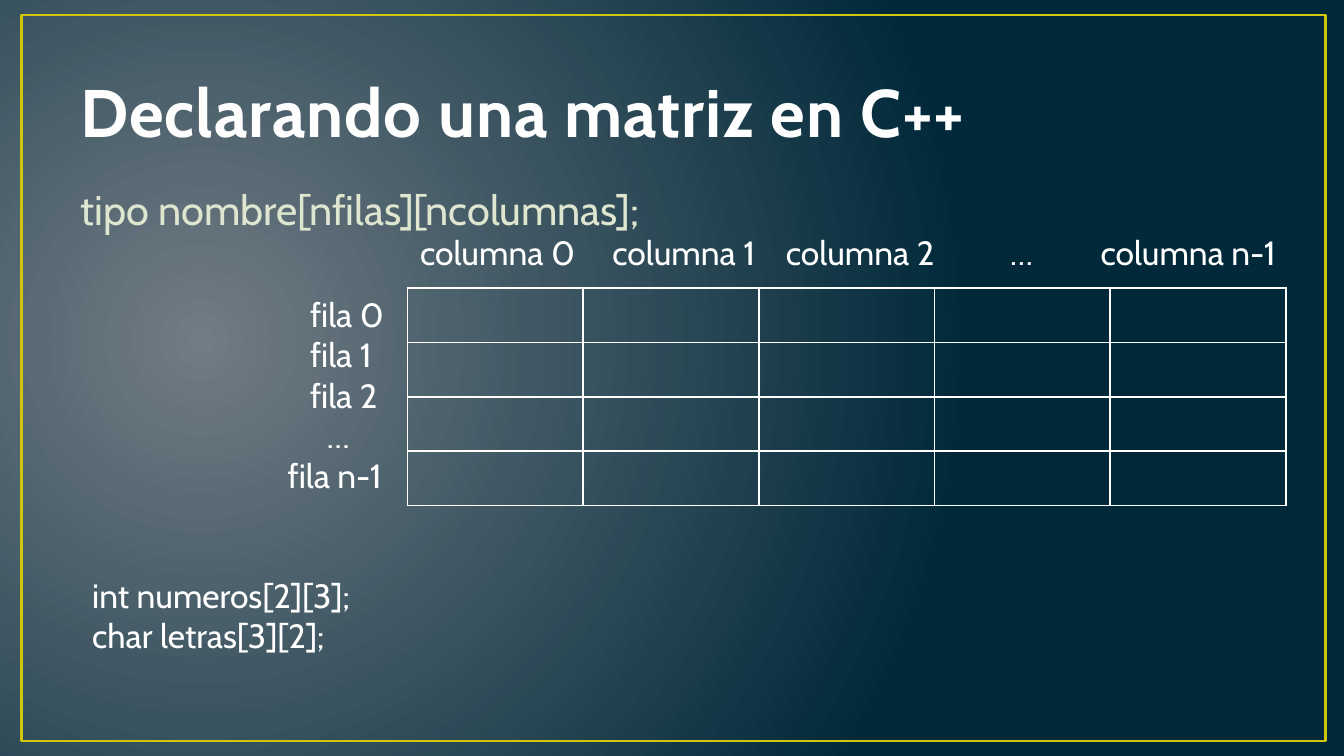
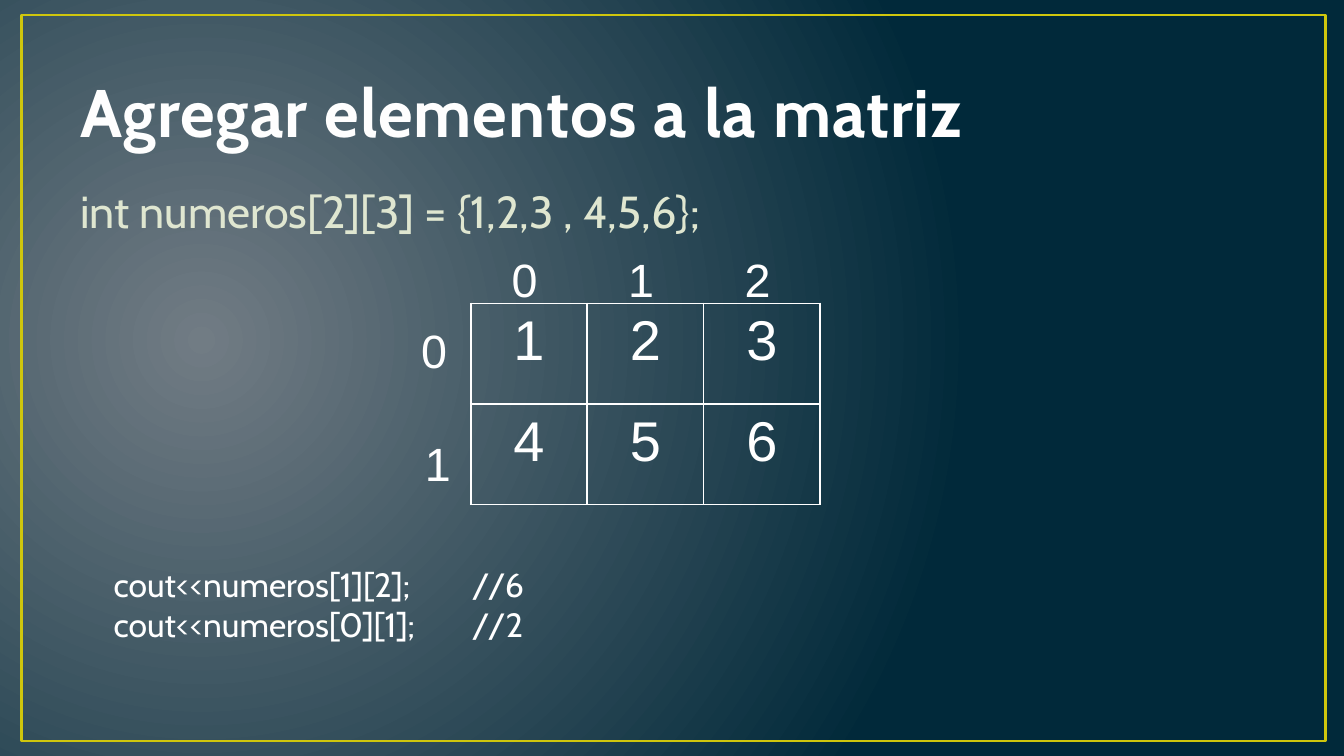
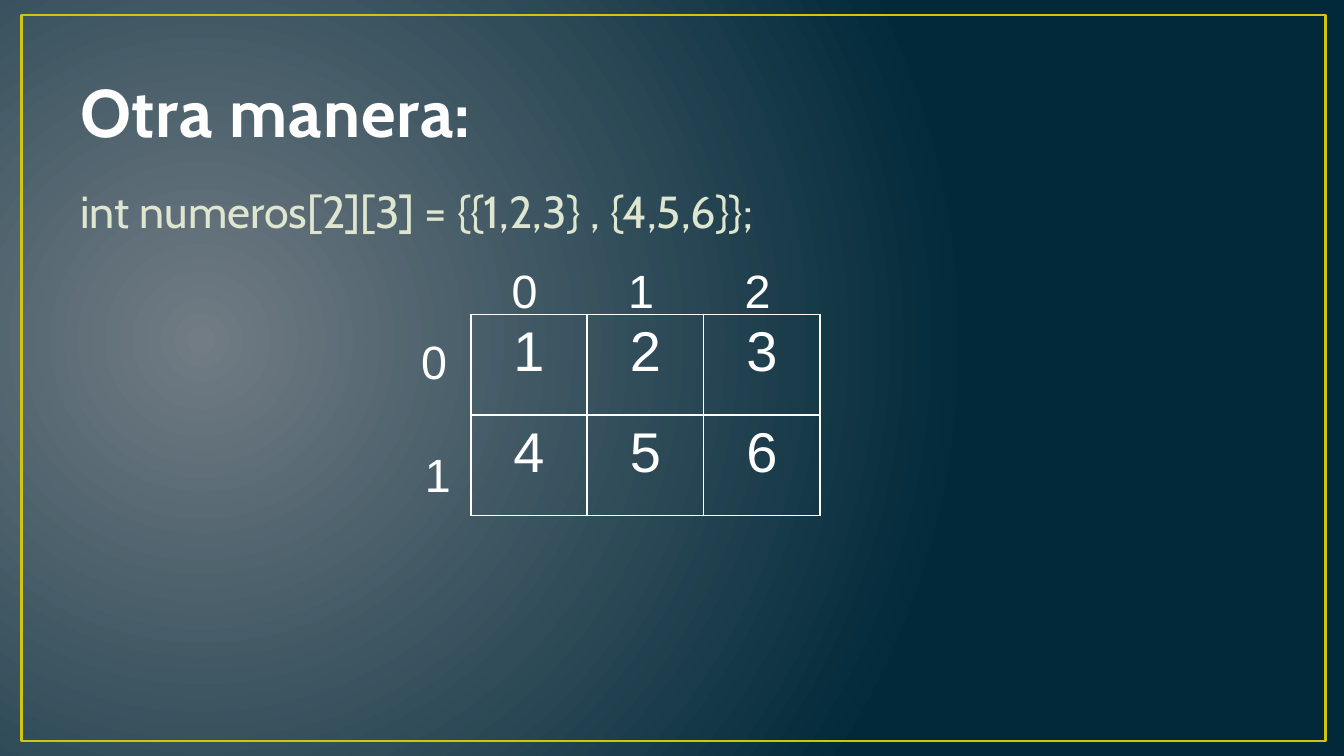
from lxml.etree import SubElement
from pptx import Presentation
from pptx.dml.color import RGBColor
from pptx.enum.shapes import MSO_SHAPE
from pptx.enum.text import MSO_ANCHOR, PP_ALIGN
from pptx.oxml.ns import qn
from pptx.util import Pt

WHITE, PALE, GOLD = "FFFFFF", "DFE6D0", "CFC60D"
GLOW, NIGHT, EDGE = "717C84", "01293A", "384F55"

COLS = ["columna 0", "columna 1", "columna 2", "…", "columna n-1"]
COL_TABS = [(103, "l"), (196, "l"), (316, "l"), (364.5, "l")]
ROWS = [("fila 0", 20), ("fila 1", 20), ("fila 2", 20), ("…", 29), ("fila n-1", 8)]
DECLS = ["int numeros[2][3];", "char letras[3][2];"]
PRINTS = ["cout<<numeros[1][2];\t//6", "cout<<numeros[0][1];\t//2"]
VALUES = [["1", "2", "3"], ["4", "5", "6"]]
EMPTY = [[""] * len(COLS) for _ in range(4)]

FORMS = [
    ("Agregar elementos a la matriz", "int numeros[2][3] = {1,2,3 , 4,5,6};", 162.6, PRINTS),
    ("Otra manera:", "int numeros[2][3] = {{1,2,3} , {4,5,6}};", 168.5, []),
]


def tint(code):
    return RGBColor.from_string(code)


def style(para, size, color=WHITE, face="Cabin", bold=False):
    font = para.font
    font.size, font.name, font.bold = Pt(size), face, bold
    font.color.rgb = tint(color)


def write(slide, box, lines, size=18, color=WHITE, face="Cabin", tabs=(), gap=0):
    frame = slide.shapes.add_textbox(*map(Pt, box)).text_frame
    frame.word_wrap = True
    for i, line in enumerate(lines):
        text, indent = line if isinstance(line, tuple) else (line, 0)
        para = frame.paragraphs[0] if i == 0 else frame.add_paragraph()
        para.text = text
        props = para._p.get_or_add_pPr()
        if indent:
            props.set("marL", str(Pt(indent)))
        if i and gap:
            para.space_before = Pt(gap)
        if tabs:
            stops = SubElement(props, qn("a:tabLst"))
            for pos, align in tabs:
                SubElement(stops, qn("a:tab"), pos=str(Pt(pos)), algn=align)
        style(para, size, color, face)
    return frame


def paint(slide):
    fill = slide.background.fill
    fill.gradient()
    for stop, code in zip(fill.gradient_stops, (GLOW, NIGHT)):
        stop.color.rgb = tint(code)
    grad = slide._element.find(".//" + qn("a:gradFill"))
    grad.remove(grad.find(qn("a:lin")))
    path = SubElement(grad, qn("a:path"), path="circle")
    SubElement(path, qn("a:fillToRect"), l="15000", t="50000", r="85000", b="60000")


def start(deck, title, code, size):
    slide = deck.slides.add_slide(deck.slide_layouts[6])
    paint(slide)
    frame = slide.shapes.add_shape(MSO_SHAPE.RECTANGLE, Pt(11.7), Pt(8), Pt(698.5), Pt(389))
    frame.shadow.inherit = False
    frame.fill.background()
    frame.line.color.rgb = tint(GOLD)
    frame.line.width = Pt(1.5)
    head = write(slide, (36, 16.6, 648, 68), [title], 36, "FEFEFE")
    head.vertical_anchor = MSO_ANCHOR.BOTTOM
    para = head.paragraphs[0]
    para.font.bold = True
    props = para.runs[0]._r.get_or_add_rPr()
    props.set("spc", "50")
    line = SubElement(props, qn("a:ln"), w=str(Pt(1.05)))
    solid = SubElement(line, qn("a:solidFill"))
    SubElement(solid, qn("a:srgbClr"), val=EDGE)
    write(slide, (36, 95, 648, 40), [code], size, PALE)
    return slide


def grid(slide, left, top, wide, high, cells, size):
    rows, cols = len(cells), len(cells[0])
    table = slide.shapes.add_table(
        rows, cols, Pt(left), Pt(top), Pt(wide * cols), Pt(high * rows)).table
    table.first_row = table.horz_banding = False
    for col in table.columns:
        col.width = Pt(wide)
    for r, row in enumerate(cells):
        table.rows[r].height = Pt(high)
        for c, text in enumerate(row):
            cell = table.cell(r, c)
            cell.text = text
            props = cell._tc.get_or_add_tcPr()
            for side in ("lnL", "lnR", "lnT", "lnB"):
                line = SubElement(props, qn("a:" + side), w=str(Pt(1)))
                solid = SubElement(line, qn("a:solidFill"))
                SubElement(solid, qn("a:srgbClr"), val=WHITE)
            cell.fill.background()
            para = cell.text_frame.paragraphs[0]
            para.alignment = PP_ALIGN.CENTER
            style(para, size, face="Arial")


def declare(deck):
    slide = start(deck, "Declarando una matriz en C++", "tipo nombre[nfilas][ncolumnas];", 22.2)
    grid(slide, 218.2, 154.3, 94.15, 29.16, EMPTY, 18)
    write(slide, (139, 154, 79, 117), ROWS)
    write(slide, (218, 120.5, 476, 29), ["\t".join(COLS)], tabs=COL_TABS)
    write(slide, (42.3, 304.5, 294.5, 94), DECLS)


def fill(deck, title, code, top, prints):
    slide = start(deck, title, code, 24)
    wide = 62.4
    grid(slide, 252.2, top, wide, 53.9, VALUES, 30)
    write(slide, (206.6, top + 6, 45, 98), [("0", 12), ("1", 14)], 25, face="Arial", gap=31)
    tabs = [(27 + wide * i, "ctr") for i in range(3)]
    write(slide, (247, top - 32, 199, 37), ["\t0\t1\t2"], 25, face="Arial", tabs=tabs)
    if prints:
        write(slide, (53.8, 298.4, 261, 51), prints, tabs=[(192, "l")])


def main():
    deck = Presentation()
    deck.slide_width, deck.slide_height = Pt(720), Pt(405)
    declare(deck)
    for form in FORMS:
        fill(deck, *form)
    deck.save("out.pptx")


if __name__ == "__main__":
    main()
